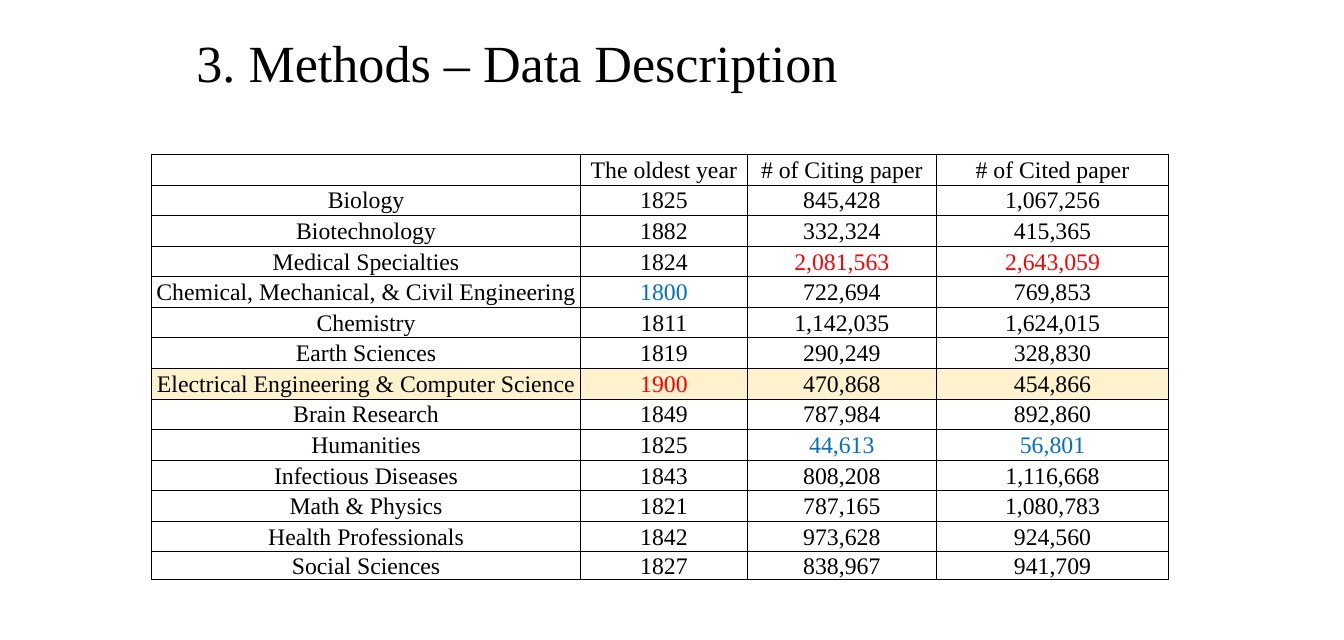
from lxml.etree import SubElement
from pptx import Presentation
from pptx.dml.color import RGBColor
from pptx.enum.text import MSO_ANCHOR as Anchor, MSO_AUTO_SIZE as AutoSize, PP_ALIGN as Align
from pptx.oxml.ns import qn
from pptx.util import Cm, Pt

FONT = "Times New Roman"
BLACK, RED, BLUE, CREAM = "000000", "FF0000", "0070C0", "FFF2CC"
COLUMN_WIDTHS = (12.75, 4.98, 5.61, 6.93)
ROW_HEIGHT, LAST_ROW_HEIGHT = 0.91, 0.58
HIGHLIGHTED_FIELD = "Electrical Engineering & Computer Science"
EXTREME_COLORS = {
    "2,081,563": RED, "2,643,059": RED, "1900": RED,
    "1800": BLUE, "44,613": BLUE, "56,801": BLUE,
}
FIELDS = [
    ("", "The oldest year", "# of Citing paper", "# of Cited paper"),
    ("Biology", "1825", "845,428", "1,067,256"),
    ("Biotechnology", "1882", "332,324", "415,365"),
    ("Medical Specialties", "1824", "2,081,563", "2,643,059"),
    ("Chemical, Mechanical, & Civil Engineering", "1800", "722,694", "769,853"),
    ("Chemistry", "1811", "1,142,035", "1,624,015"),
    ("Earth Sciences", "1819", "290,249", "328,830"),
    (HIGHLIGHTED_FIELD, "1900", "470,868", "454,866"),
    ("Brain Research", "1849", "787,984", "892,860"),
    ("Humanities", "1825", "44,613", "56,801"),
    ("Infectious Diseases", "1843", "808,208", "1,116,668"),
    ("Math & Physics", "1821", "787,165", "1,080,783"),
    ("Health Professionals", "1842", "973,628", "924,560"),
    ("Social Sciences", "1827", "838,967", "941,709"),
]


def rgb(color):
    """Turn a hex string into a colour."""
    return RGBColor.from_string(color)


def write(tf, text, size=20, color=BLACK, align=Align.CENTER, spacing=None):
    """Write one formatted paragraph into a text frame."""
    p = tf.paragraphs[0]
    p.alignment = align
    p.line_spacing = spacing
    if text:
        r = p.add_run()
        r.text = text
        r.font.name, r.font.size = FONT, Pt(size)
        r.font.color.rgb = rgb(color)


def add_borders(cell, color=BLACK, width=1):
    """Draw a solid line on all four sides of a cell."""
    tc_pr = cell._tc.get_or_add_tcPr()
    for side in ("lnL", "lnR", "lnT", "lnB"):
        line = SubElement(tc_pr, qn(f"a:{side}"), w=str(Pt(width)))
        fill = SubElement(line, qn("a:solidFill"))
        SubElement(fill, qn("a:srgbClr"), val=color)


def format_cell(cell, text, fill=None):
    """Set the text, margins, borders and fill of a cell."""
    cell.margin_left = cell.margin_right = cell.margin_top = Cm(0.03)
    cell.margin_bottom = 0
    cell.vertical_anchor = Anchor.MIDDLE
    write(cell.text_frame, text, color=EXTREME_COLORS.get(text, BLACK))
    add_borders(cell)
    if fill:
        cell.fill.solid()
        cell.fill.fore_color.rgb = rgb(fill)
    else:
        cell.fill.background()


def place_title(s, text, left, top, width, height):
    """Move the title placeholder into its box and fill it."""
    title = s.shapes.title
    title.left, title.top, title.width, title.height = map(Cm, (left, top, width, height))
    tf = title.text_frame
    tf.auto_size = AutoSize.NONE
    tf.word_wrap = True
    tf.vertical_anchor = Anchor.BOTTOM
    write(tf, text, size=44, align=Align.LEFT, spacing=0.9)


def add_field_table(s, left, top):
    """Add the table of research fields with its corner at the given point."""
    heights = [ROW_HEIGHT] * (len(FIELDS) - 1) + [LAST_ROW_HEIGHT]
    box = map(Cm, (left, top, sum(COLUMN_WIDTHS), sum(heights)))
    table = s.shapes.add_table(len(FIELDS), len(COLUMN_WIDTHS), *box).table
    table.first_row = table.horz_banding = False
    for column, width in zip(table.columns, COLUMN_WIDTHS):
        column.width = Cm(width)
    for row, height, values in zip(table.rows, heights, FIELDS):
        row.height = Cm(height)
        fill = CREAM if values[0] == HIGHLIGHTED_FIELD else None
        for cell, value in zip(row.cells, values):
            format_cell(cell, value, fill)


def main():
    """Build the slide and save it."""
    prs = Presentation()
    prs.slide_width, prs.slide_height = Cm(40), Cm(19.05)
    s = prs.slides.add_slide(prs.slide_layouts.get_by_name("Title Only"))
    place_title(s, "3. Methods – Data Description", 5.59, 0.84, 29.21, 2.08)
    add_field_table(s, 4.52, 4.6)
    prs.save("out.pptx")


if __name__ == "__main__":
    main()
